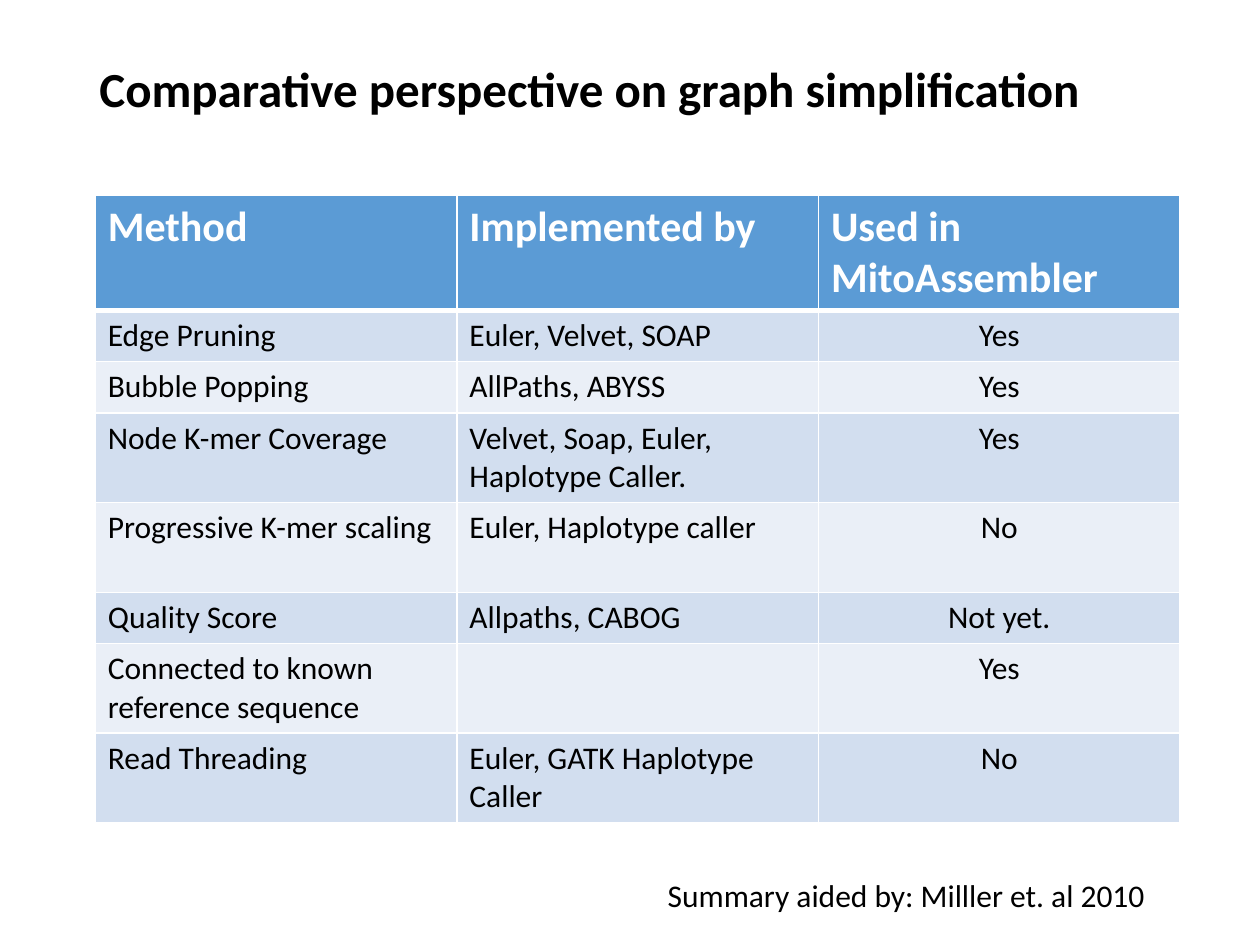
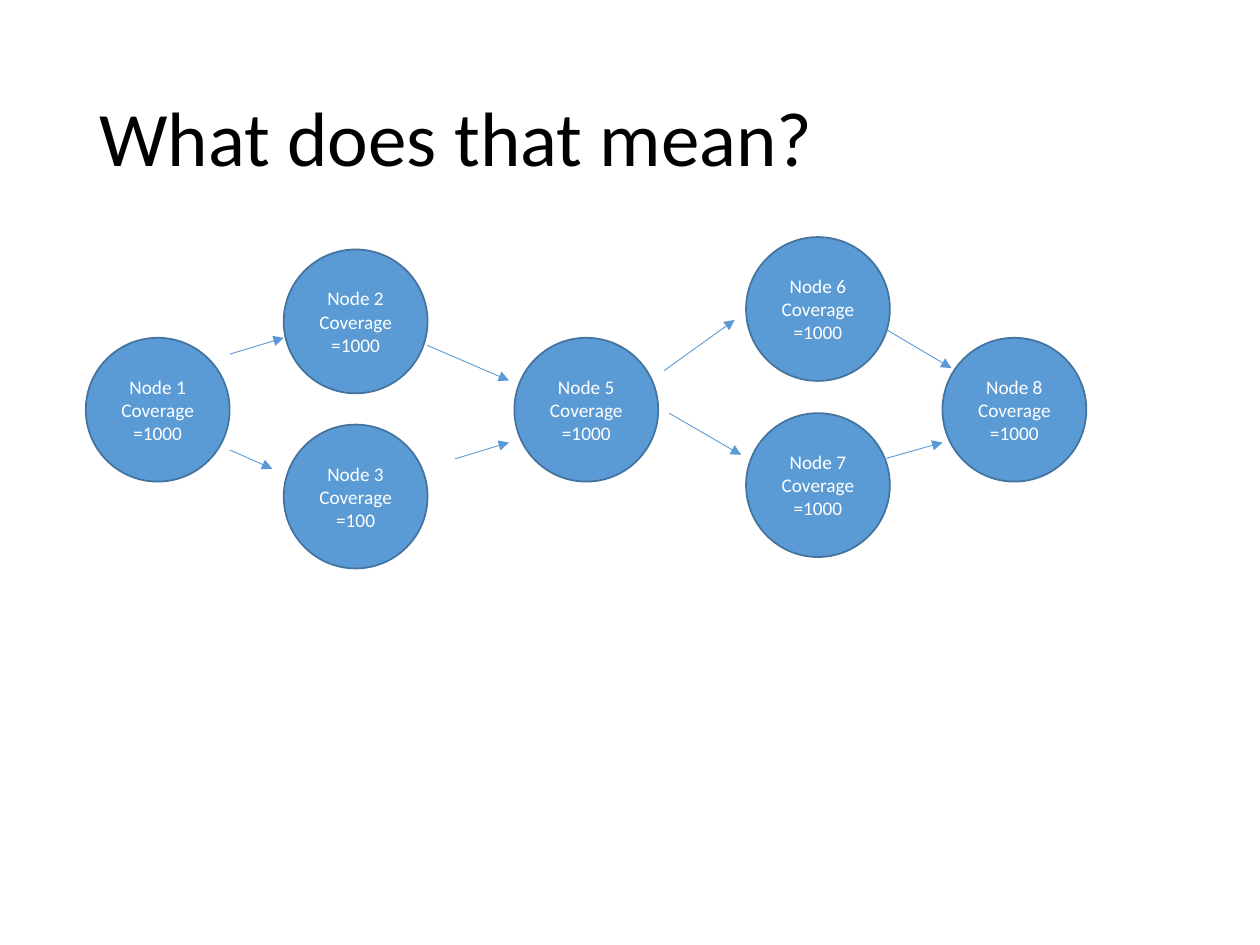
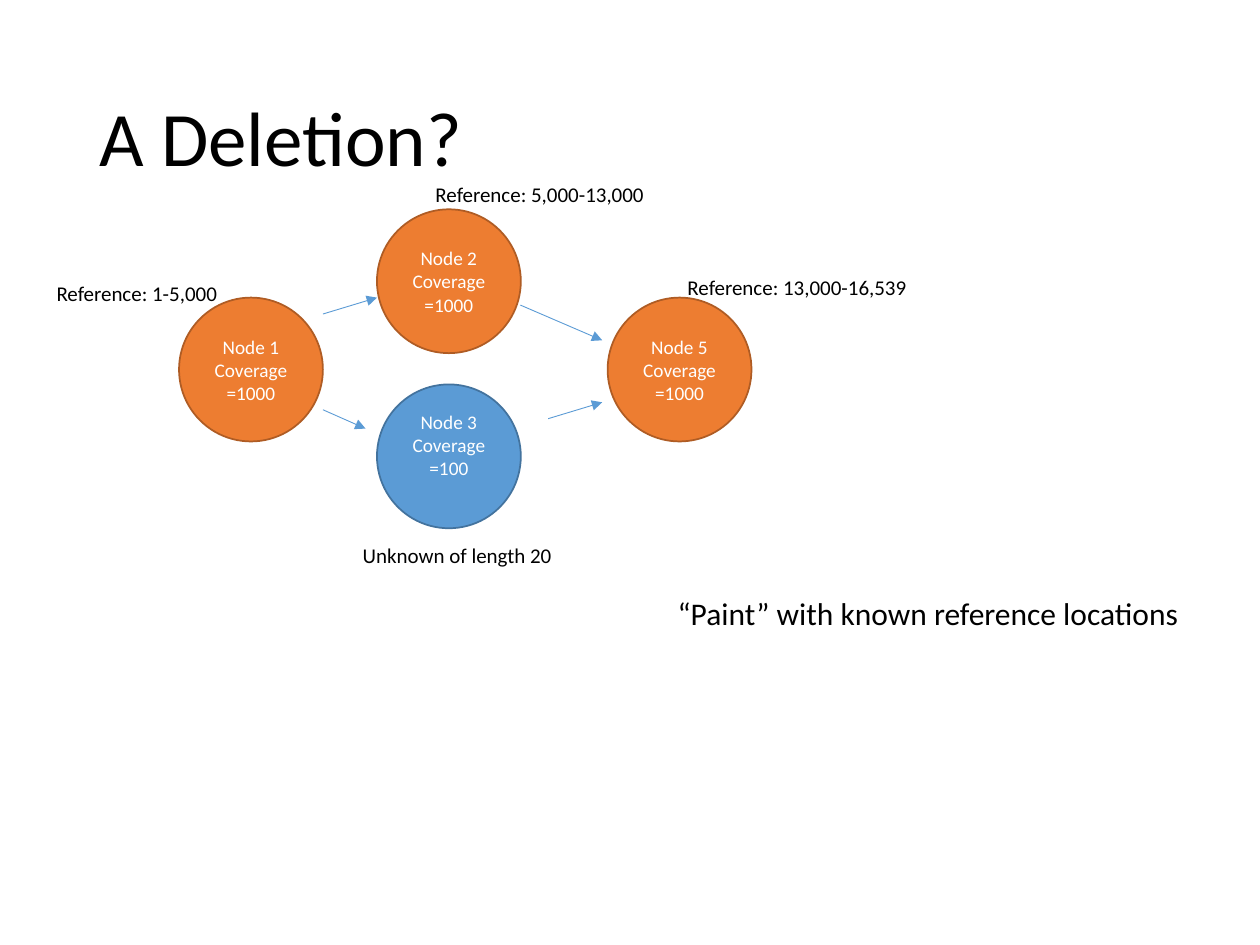
from pptx import Presentation
from pptx.dml.color import RGBColor
from pptx.enum.shapes import MSO_CONNECTOR, MSO_SHAPE
from pptx.enum.text import MSO_ANCHOR, MSO_AUTO_SIZE, PP_ALIGN
from pptx.oxml import parse_xml
from pptx.oxml.ns import nsdecls, qn
from pptx.util import Cm, Pt

FONT = "Calibri"
HUES = {
    "ink": "000000", "white": "FFFFFF",
    "blue": "5B9BD5", "navy": "43739E",
    "orange": "ED7D31", "rust": "AF5C24",
    "odd": "D2DEEF", "even": "EAEFF7",
}
BLUE, ORANGE = ("blue", "navy"), ("orange", "rust")
SIZE = 2.9
SPOTS = {1: (0, 1.78), 2: (3.99, 0), 3: (3.99, 3.53), 5: (8.64, 1.78),
         6: (13.31, -0.25), 7: (13.31, 3.3), 8: (17.27, 1.78)}
LEFT = [(2.9, 2.11, 3.99, 1.78), (2.9, 4.04, 3.76, 4.42),
        (7.44, 4.22, 8.53, 3.89), (6.88, 1.93, 8.53, 2.64)]
RIGHT = [(11.66, 2.44, 13.08, 1.42), (11.76, 3.3, 13.21, 4.14),
         (16.03, 1.55, 17.45, 2.39), (16.03, 4.24, 17.27, 3.89)]
ROWS = [
    ("Method", "Implemented by", "Used in MitoAssembler"),
    ("Edge Pruning", "Euler, Velvet, SOAP", "Yes"),
    ("Bubble Popping", "AllPaths, ABYSS", "Yes"),
    ("Node K-mer Coverage", "Velvet, Soap, Euler, Haplotype Caller.", "Yes"),
    ("Progressive K-mer scaling", "Euler, Haplotype caller", "No"),
    ("Quality Score", "Allpaths, CABOG", "Not yet."),
    ("Connected to known reference sequence", "", "Yes"),
    ("Read Threading", "Euler, GATK Haplotype Caller", "No"),
]
ONE, TWO = 1.03, 1.81
HIGHS = [2.3, ONE, ONE, TWO, TWO, ONE, TWO, TWO]


def hue(name):
    """Return the named colour."""
    return RGBColor.from_string(HUES[name])


def write(frame, text, size=18, color="ink", bold=False, align=PP_ALIGN.LEFT, space=None):
    """Fill a text frame, one paragraph per line, in one format."""
    frame.text = text
    for par in frame.paragraphs:
        par.alignment = align
        par.line_spacing = space
        font = par.font
        font.name, font.size, font.bold = FONT, Pt(size), bold
        font.color.rgb = hue(color)


def start(deck, text, top=1.02, **form):
    """Add a slide with its title."""
    slide = deck.slides.add_slide(deck.slide_layouts[5])
    title = slide.shapes.title
    title.left, title.top = Cm(1.75), Cm(top)
    title.width, title.height = Cm(21.9), Cm(3.68)
    frame = title.text_frame
    frame.auto_size = MSO_AUTO_SIZE.NONE
    frame.vertical_anchor = MSO_ANCHOR.MIDDLE
    write(frame, text, space=0.9, **form)
    return slide


def note(slide, text, left, top, width, high, **form):
    """Add a wrapped text box."""
    box = slide.shapes.add_textbox(Cm(left), Cm(top), Cm(width), Cm(high))
    box.text_frame.word_wrap = True
    box.text_frame.auto_size = MSO_AUTO_SIZE.SHAPE_TO_FIT_TEXT
    write(box.text_frame, text, **form)


def edge(cell, base):
    """Draw white borders round a cell, with the given width at its base."""
    props = cell._tc.get_or_add_tcPr()
    for spot, (side, wide) in enumerate(zip("LRTB", (1, 1, 1, base))):
        props.insert(spot, parse_xml(
            f'<a:ln{side} {nsdecls("a")} w="{Pt(wide)}"><a:solidFill>'
            f'<a:srgbClr val="{HUES["white"]}"/></a:solidFill></a:ln{side}>'))


def grid(slide, left, top, width):
    """Add the table of methods."""
    count = len(ROWS[0])
    table = slide.shapes.add_table(
        len(ROWS), count, Cm(left), Cm(top), Cm(width), Cm(sum(HIGHS))).table
    for row, (high, texts) in enumerate(zip(HIGHS, ROWS)):
        table.rows[row].height = Cm(high)
        head = row == 0
        fill = "blue" if head else ("odd" if row % 2 else "even")
        for col, text in enumerate(texts):
            cell = table.cell(row, col)
            mid = not head and col == count - 1
            write(cell.text_frame, text, size=24 if head else 18, bold=head,
                  color="white" if head else "ink",
                  align=PP_ALIGN.CENTER if mid else PP_ALIGN.LEFT)
            cell.fill.solid()
            cell.fill.fore_color.rgb = hue(fill)
            edge(cell, 3 if row < 2 and head else 1)


def node(slide, left, top, text, tint):
    """Add a round node and return it."""
    disc = slide.shapes.add_shape(MSO_SHAPE.OVAL, Cm(left), Cm(top), Cm(SIZE), Cm(SIZE))
    disc.shadow.inherit = False
    disc.fill.solid()
    disc.fill.fore_color.rgb = hue(tint[0])
    disc.line.color.rgb = hue(tint[1])
    disc.line.width = Pt(1)
    disc.text_frame.word_wrap = True
    disc.text_frame.vertical_anchor = MSO_ANCHOR.MIDDLE
    write(disc.text_frame, text, size=11, color="white", align=PP_ALIGN.CENTER)
    return disc


def arrow(slide, left, top, ends):
    """Add an arrow whose ends are relative to the given corner."""
    x, y, to_x, to_y = ends
    line = slide.shapes.add_connector(
        MSO_CONNECTOR.STRAIGHT, Cm(left + x), Cm(top + y), Cm(left + to_x), Cm(top + to_y))
    line.line.color.rgb = hue("blue")
    line.line.width = Pt(0.5)
    line.line._get_or_add_ln().append(
        parse_xml(f'<a:tailEnd {nsdecls("a")} type="triangle"/>'))
    line._element.spPr.append(line._element.makeelement(qn("a:effectLst"), {}))


def graph(slide, left, top, tints, arrows):
    """Draw a coverage graph and return its nodes by number."""
    nodes = {}
    for num, tint in tints.items():
        x, y = SPOTS[num]
        cover = 100 if num == 3 else 1000
        nodes[num] = node(slide, left + x, top + y, f"Node {num}\nCoverage={cover}", tint)
    for ends in arrows:
        arrow(slide, left, top, ends)
    return nodes


def compare(deck):
    """Build the slide that compares methods."""
    slide = start(deck, "Comparative perspective on graph simplification",
                  top=0, size=28, bold=True)
    grid(slide, 1.92, 3.94, 21.87)
    note(slide, "Summary aided by: Milller et. al 2010", 13.21, 17.53, 10.92, 1.02)


def meaning(deck):
    """Build the slide with the whole graph."""
    slide = start(deck, "What does that mean?", size=44)
    graph(slide, 1.73, 5.03, dict.fromkeys(SPOTS, BLUE), LEFT + RIGHT)


def deletion(deck):
    """Build the slide with the painted graph."""
    slide = start(deck, "A Deletion?", size=44)
    tints = {1: ORANGE, 2: ORANGE, 3: BLUE, 5: ORANGE}
    nodes = graph(slide, 3.61, 4.22, tints, LEFT)
    nodes[3].text_frame.margin_bottom = Cm(0.6)
    note(slide, "“Paint” with known reference locations", 13.41, 11.86, 11.23, 1.02)
    for text, left, top in [
        ("Reference: 1-5,000", 0.89, 5.54),
        ("Reference: 13,000-16,539", 13.61, 5.41),
        ("Reference: 5,000-13,000", 8.53, 3.53),
        ("Unknown of length 20", 7.06, 10.82),
    ]:
        note(slide, text, left, top, 5.38, 0.76, size=12)


def main():
    """Build and save the deck."""
    deck = Presentation()
    deck.slide_width, deck.slide_height = Cm(25.4), Cm(19.05)
    for build in (compare, meaning, deletion):
        build(deck)
    deck.save("out.pptx")


if __name__ == "__main__":
    main()
